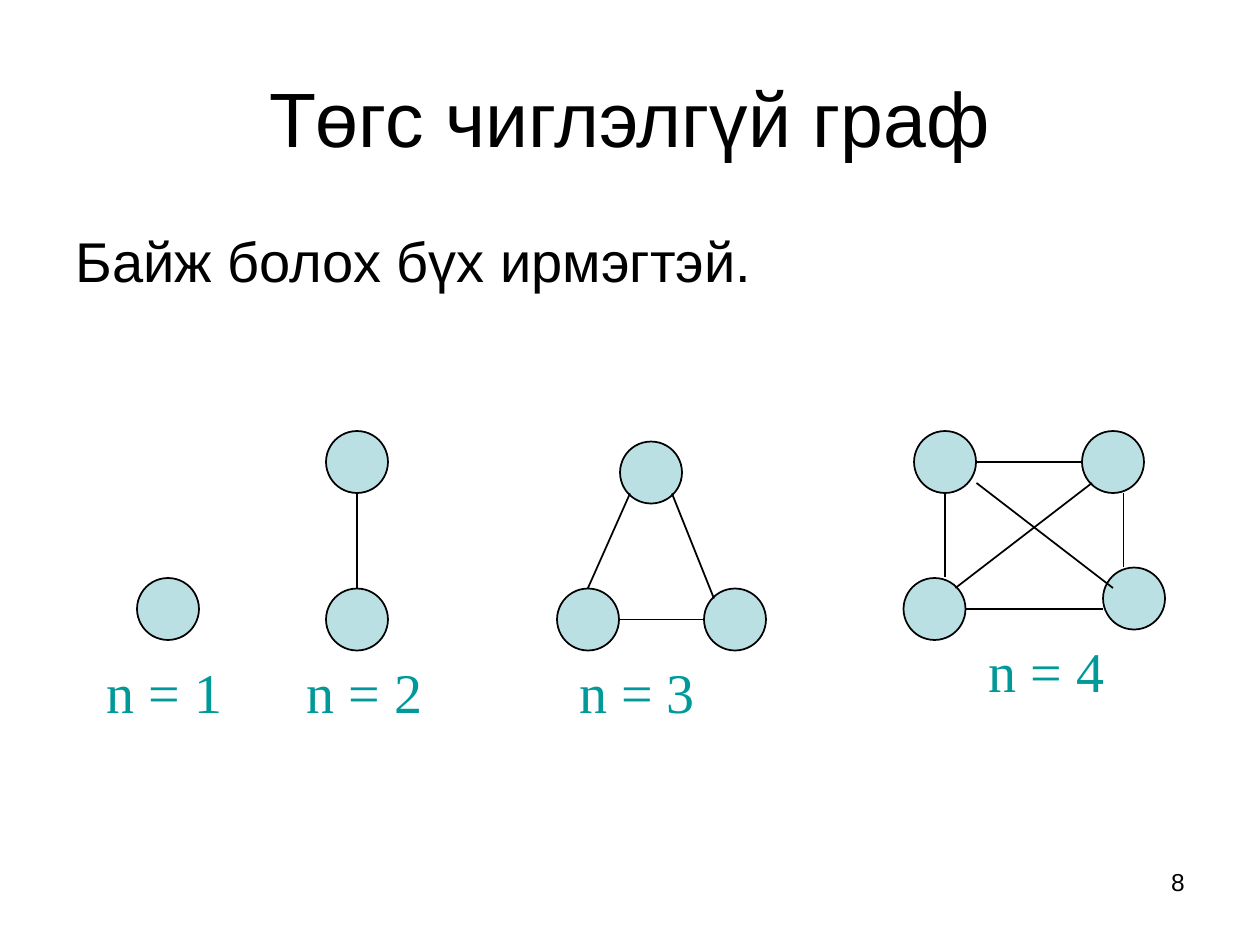
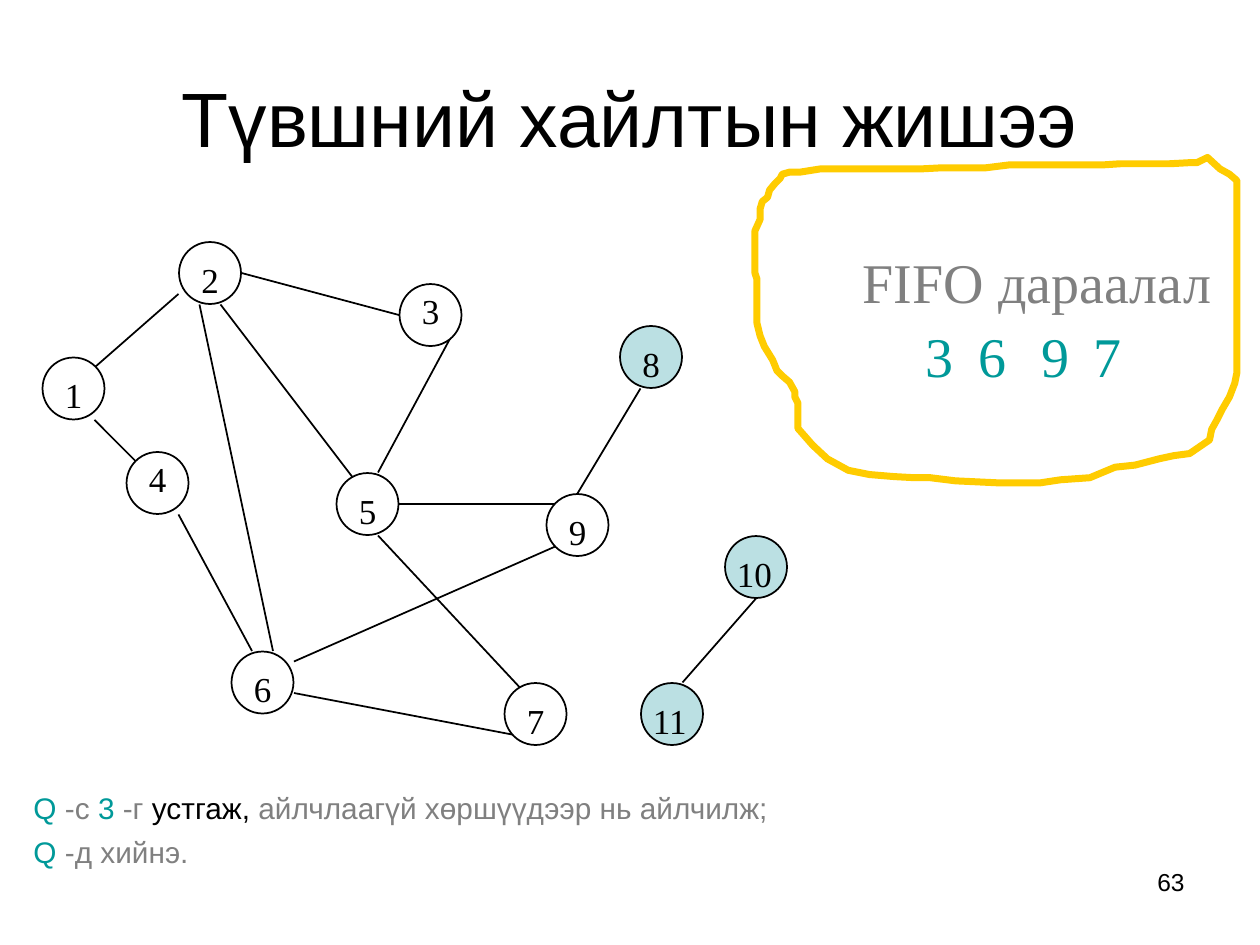
from pptx import Presentation
from pptx.dml.color import RGBColor
from pptx.enum.shapes import MSO_CONNECTOR as Connector, MSO_SHAPE as Shape
from pptx.enum.text import MSO_ANCHOR as Anchor, PP_ALIGN as Align
from pptx.oxml.ns import qn
from pptx.util import Emu, Pt
from lxml import etree

PX = 7620  # EMU per px, 120 px to the inch
COLORS = {
    "ink": "000000",
    "teal": "009999",
    "grey": "808080",
    "visited": "FFFFFF",
    "node": "BBE0E3",
    "loop": "FFCC00",
}
SANS, SERIF = "Arial", "Times New Roman"
NODE_SIZE = 59


def px(length):
    return Emu(round(length * PX))


def rgb(name):
    return RGBColor.from_string(COLORS[name])


class Deck:
    """Holds the shared style and the slide being drawn."""

    def __init__(self):
        self.prs = Presentation()
        self.prs.slide_width, self.prs.slide_height = px(1200), px(900)
        self.shapes = None

    def new_slide(self, title, number):
        slide = self.prs.slides.add_slide(self.prs.slide_layouts[6])
        self.shapes = slide.shapes
        self.text((60, 36, 1080, 150), [title], 44, align=Align.CENTER,
                  anchor=Anchor.MIDDLE)
        self.text((860, 820, 280, 62), [str(number)], 14, align=Align.RIGHT)

    def text(self, box, lines, size, font=SANS, color="ink", align=Align.LEFT,
             anchor=Anchor.TOP, gap=0):
        """Each line is a string, or a list of (text, colour) runs."""
        frame = self.shapes.add_textbox(*map(px, box)).text_frame
        frame.word_wrap = True
        frame.vertical_anchor = anchor
        for index, line in enumerate(lines):
            para = frame.paragraphs[0] if index == 0 else frame.add_paragraph()
            para.alignment = align
            if index:
                para.space_before = Pt(gap)
            para.font.size, para.font.name = Pt(size), font
            if isinstance(line, str):
                para.font.color.rgb = rgb(color)
                para.add_run().text = line
                continue
            for words, run_color in line:
                run = para.add_run()
                run.text = words
                run.font.color.rgb = rgb(run_color)

    def node(self, center, fill="node"):
        x, y = center
        corner = px(x - NODE_SIZE / 2), px(y - NODE_SIZE / 2)
        circle = self.shapes.add_shape(Shape.OVAL, *corner,
                                       px(NODE_SIZE), px(NODE_SIZE))
        circle.shadow.inherit = False
        circle.fill.solid()
        circle.fill.fore_color.rgb = rgb(fill)
        self.outline(circle)

    def edge(self, start, end):
        line = self.shapes.add_connector(Connector.STRAIGHT,
                                         *map(px, start + end))
        self.outline(line)
        etree.SubElement(line._element.spPr, qn("a:effectLst"))

    def loop(self, points):
        builder = self.shapes.build_freeform(*points[0], scale=PX)
        builder.add_line_segments(points[1:], close=True)
        outline = builder.convert_to_shape()
        outline.shadow.inherit = False
        outline.fill.background()
        self.outline(outline, "loop", 4)

    def outline(self, shape, color="ink", width=1):
        shape.line.color.rgb = rgb(color)
        shape.line.width = Pt(width)


# Complete graphs: label corner, node centres, edges
COMPLETE_GRAPHS = [
    ((90, 620), [(160, 580)], []),
    ((280, 620), [(340, 590), (340, 440)], [((340, 470), (340, 560))]),
    ((540, 620), [(620, 450), (560, 590), (700, 590)],
     [((640, 470), (680, 570)), ((600, 470), (560, 560)),
      ((590, 590), (670, 590))]),
    ((930, 600), [(900, 440), (1060, 440), (1080, 570), (890, 580)],
     [((930, 440), (1030, 440)), ((1070, 470), (1070, 540)),
      ((900, 470), (900, 550)), ((920, 580), (1050, 580)),
      ((930, 460), (1060, 560)), ((1040, 460), (910, 560))]),
]

# Breadth-first search: node centres by number
SEARCH_NODES = {
    1: (70, 370), 2: (200, 260), 3: (410, 300), 4: (150, 460),
    5: (350, 480), 6: (250, 650), 7: (510, 680), 8: (620, 340),
    9: (550, 500), 10: (720, 540), 11: (640, 680),
}
UNVISITED = {8, 10, 11}
RAISED_LABELS = {3, 4}
SEARCH_EDGES = [
    ((170, 280), (90, 350)), ((210, 290), (340, 460)),
    ((90, 400), (130, 440)), ((170, 490), (240, 620)),
    ((280, 660), (490, 700)), ((430, 320), (360, 450)),
    ((360, 510), (500, 660)), ((610, 370), (550, 470)),
    ((650, 650), (720, 570)), ((380, 480), (530, 480)),
    ((230, 260), (380, 300)), ((190, 290), (260, 620)),
    ((280, 630), (530, 520)),
]
QUEUE = {3: 870, 6: 920, 9: 980, 7: 1030}
QUEUE_LOOP = [
    (1150, 150), (1140, 155), (1133, 155), (1114, 156), (1067, 156),
    (1052, 157), (962, 157), (938, 160), (895, 160), (876, 161), (781, 161),
    (762, 164), (752, 164), (745, 166), (743, 170), (738, 175), (733, 181),
    (731, 188), (726, 192), (724, 199), (724, 209), (719, 220), (719, 260),
    (721, 266), (721, 308), (724, 320), (728, 330), (736, 343), (740, 353),
    (745, 358), (752, 364), (757, 373), (757, 378), (760, 384), (760, 408),
    (774, 424), (788, 437), (808, 448), (828, 452), (852, 454), (871, 455),
    (886, 455), (910, 458), (953, 460), (990, 460), (1010, 457), (1038, 455),
    (1062, 445), (1081, 443), (1104, 437), (1118, 434), (1133, 432),
    (1152, 419), (1154, 409), (1159, 400), (1164, 390), (1171, 378),
    (1176, 365), (1178, 355), (1178, 172), (1171, 166), (1162, 161),
]


def complete_graphs(deck):
    deck.new_slide("Төгс чиглэлгүй граф", 8)
    deck.text((60, 210, 1080, 110), ["Байж болох бүх ирмэгтэй."], 32)
    for corner, nodes, edges in COMPLETE_GRAPHS:
        for center in nodes:
            deck.node(center)
        for start, end in edges:
            deck.edge(start, end)
        deck.text((*corner, 160, 76), [f"n = {len(nodes)}"], 32, SERIF, "teal")


def search_example(deck):
    deck.new_slide("Түвшний хайлтын жишээ", 63)
    deck.text((20, 746, 1180, 94), [
        [("Q ", "teal"), ("-с ", "grey"), ("3", "teal"), (" -г ", "grey"),
         ("устгаж, ", "ink"), ("айлчлаагүй хөршүүдээр нь айлчилж;", "grey")],
        [("Q", "teal"), (" -д хийнэ.", "grey")],
    ], 17, gap=5)

    # Graph
    for start, end in SEARCH_EDGES:
        deck.edge(start, end)
    for number, (x, y) in SEARCH_NODES.items():
        deck.node((x, y), "node" if number in UNVISITED else "visited")
        reach = 30 if number > 9 else 20
        rise = 30 if number in RAISED_LABELS else 20
        width = 60 if number > 9 else 30
        deck.text((x - reach, y - rise, width, 52), [str(number)], 20, SERIF)

    # Queue
    deck.text((810, 230, 370, 174), ["FIFO дараалал"], 32, SERIF, "grey")
    deck.loop(QUEUE_LOOP)
    for number, x in QUEUE.items():
        deck.text((x, 300, 50, 76), [str(number)], 32, SERIF, "teal")


def main():
    deck = Deck()
    complete_graphs(deck)
    search_example(deck)
    deck.prs.save("out.pptx")


if __name__ == "__main__":
    main()
